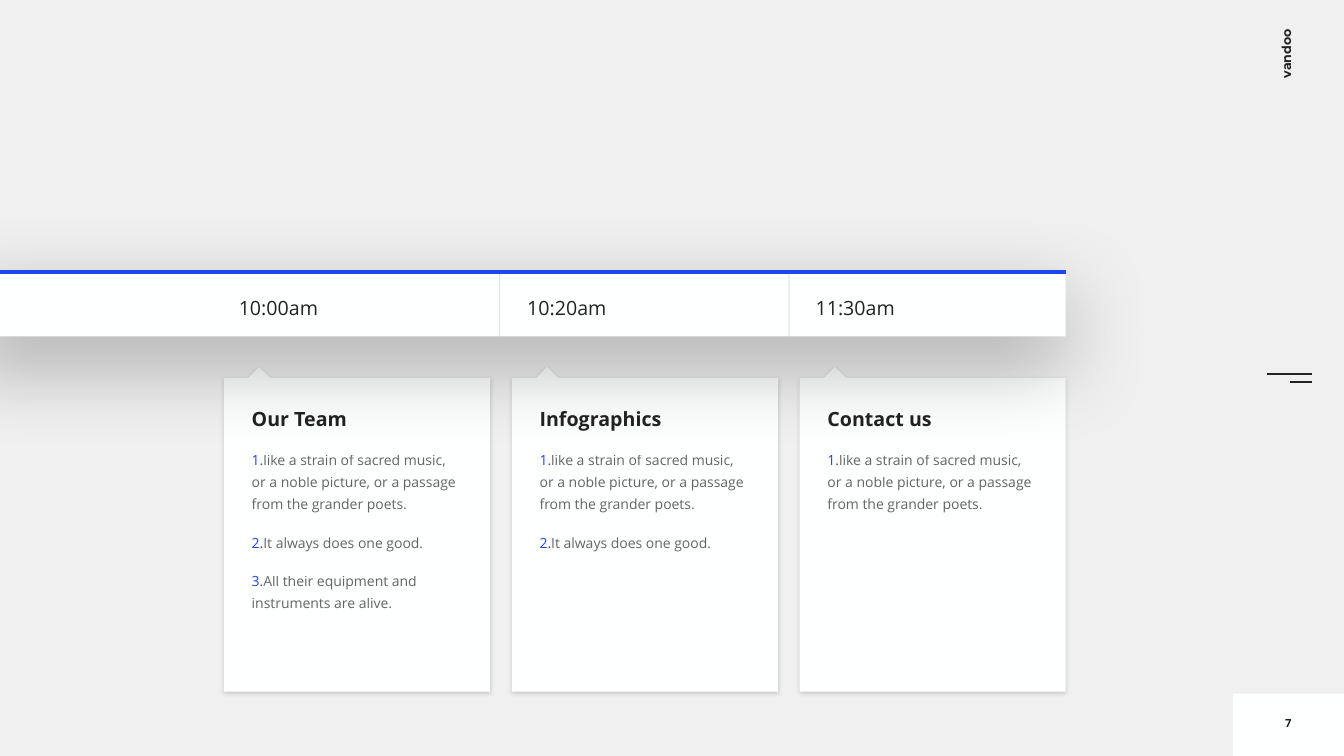
from lxml.etree import SubElement as Sub
from pptx import Presentation
from pptx.dml.color import RGBColor as RGB
from pptx.enum.shapes import MSO_CONNECTOR as Conn, MSO_SHAPE as Kind
from pptx.enum.text import MSO_ANCHOR as Anchor, MSO_AUTO_SIZE as Auto, PP_ALIGN as Align
from pptx.oxml.ns import qn
from pptx.util import Pt

INK, WHITE, BLUE = "222222", "FEFFFF", "1D46F3"


def tint(fill, color, host=None, alpha=100):
    """Fill with a solid colour; host is the XML element that holds it."""
    fill.solid()
    fill.fore_color.rgb = RGB.from_string(color)
    if alpha < 100:
        clr = host.find(".//" + qn("a:srgbClr"))
        Sub(clr, qn("a:alpha"), val=str(alpha * 1000))


def write(para, text, size, layout, bold=False, face="Open Sans", alpha=100):
    for key, val in layout.items():
        setattr(para, key, val)
    run = para.add_run()
    run.text = text
    look = {"name": face, "size": Pt(size), "bold": bold}
    for key, val in look.items():
        setattr(run.font, key, val)
    tint(run.font.fill, INK, run._r, alpha)


deck = Presentation()
deck.slide_width, deck.slide_height = Pt(960), Pt(540)
slide = deck.slides.add_slide(deck.slide_layouts[6])
tint(slide.background.fill, "F0F0F0")
shapes = slide.shapes
shades = []

# Page number panel
panel = shapes.add_shape(Kind.RECTANGLE, Pt(880.6), Pt(495.4), Pt(79.4), Pt(44.6))
panel.shadow.inherit = False
tint(panel.fill, WHITE)
panel.line.fill.background()

# Cards, each with a small peak on its top edge
steps = [
    "like a strain of sacred music, or a noble picture, or a passage from the grander poets.",
    "It always does one good.",
    "All their equipment and instruments are alive.",
]
cards = [("Our Team", 3), ("Infographics", 2), ("Contact us", 1)]
edge = [(33, 270), (190, 270), (190, 494), (0, 494), (0, 270), (17.4, 270)]
inner = {
    "margin_left": Pt(19.8), "margin_right": Pt(20),
    "margin_top": Pt(28.4), "margin_bottom": Pt(3.6),
    "vertical_anchor": Anchor.TOP, "word_wrap": True,
}
item = {"alignment": Align.LEFT, "line_spacing": 1.3, "space_before": Pt(12)}
for i, (title, count) in enumerate(cards):
    left = 160 + 205.6 * i
    pen = shapes.build_freeform(Pt(left + 25.2), Pt(262))
    pen.add_line_segments([(Pt(left + x), Pt(y)) for x, y in edge])
    card = pen.convert_to_shape()
    tint(card.fill, WHITE)
    card.line.fill.background()
    shades.append((card, 3, 1, 15))
    frame = card.text_frame
    for key, val in inner.items():
        setattr(frame, key, val)
    write(frame.paragraphs[0], title, 14, {"alignment": Align.LEFT}, bold=True)
    for step in steps[:count]:
        para = frame.add_paragraph()
        props = para._p.get_or_add_pPr()
        props.set("marL", "0")
        props.set("indent", str(-Pt(18)))
        Sub(Sub(props, qn("a:buClr")), qn("a:srgbClr"), val=BLUE)
        Sub(props, qn("a:buFont"), typeface="+mj-lt")
        Sub(props, qn("a:buAutoNum"), type="arabicPeriod")
        write(para, step, 10, item, alpha=70)

# Time bar
bar = shapes.add_shape(Kind.RECTANGLE, Pt(-25), Pt(193), Pt(786.2), Pt(47.2))
tint(bar.fill, WHITE)
bar.line.fill.background()
shades.append((bar, 60, 20, 30))

for shape, blur, dist, alpha in shades:
    shape.shadow.inherit = False
    glow = Sub(
        shape._element.spPr.find(qn("a:effectLst")), qn("a:outerShdw"),
        blurRad=str(Pt(blur)), dist=str(Pt(dist)), dir="5400000",
        algn="t", rotWithShape="0",
    )
    clr = Sub(glow, qn("a:srgbClr"), val="000000")
    Sub(clr, qn("a:alpha"), val=str(alpha * 1000))

# Dividers, blue rule and menu mark
lines = [
    (357, 193, 357, 240.2, INK, 0.5, 20),
    (563.6, 193, 563.6, 240.2, INK, 0.5, 20),
    (-25, 194.2, 761.2, 194.2, BLUE, 3, 100),
    (905, 267, 937, 267, INK, 1.5, 100),
    (921.2, 273, 937, 273, INK, 1.5, 100),
]
for x1, y1, x2, y2, color, width, alpha in lines:
    rule = shapes.add_connector(Conn.STRAIGHT, Pt(x1), Pt(y1), Pt(x2), Pt(y2))
    rule.line.width = Pt(width)
    tint(rule.line.fill, color, rule._element.spPr, alpha)
    Sub(rule._element.spPr, qn("a:effectLst"))

# Times, brand name and page number
snug = {"word_wrap": False, "auto_size": Auto.SHAPE_TO_FIT_TEXT}
clock = {
    **snug, "margin_left": 0, "margin_right": Pt(17.3),
    "margin_top": Pt(2.9), "margin_bottom": Pt(2.9),
}
middle = {"word_wrap": True, "vertical_anchor": Anchor.MIDDLE}
labels = [
    (170.6 + 206 * i, 203.3, 74.2, 26, 0, clock, time, 14,
     {"line_spacing": 1.3}, False, "Open Sans")
    for i, time in enumerate(["10:00am", "10:20am", "11:30am"])
]
labels += [
    (888.7, 24, 60, 18, 270, snug, "vandoo", 9, {}, True, "Montserrat"),
    (880.6, 501.8, 79.2, 28.8, 0, middle, "7", 8,
     {"alignment": Align.CENTER}, True, "Open Sans"),
]
for x, y, w, h, turn, setup, text, size, layout, bold, face in labels:
    box = shapes.add_textbox(Pt(x), Pt(y), Pt(w), Pt(h))
    box.rotation = turn
    for key, val in setup.items():
        setattr(box.text_frame, key, val)
    write(box.text_frame.paragraphs[0], text, size, layout, bold, face)

deck.save("out.pptx")
